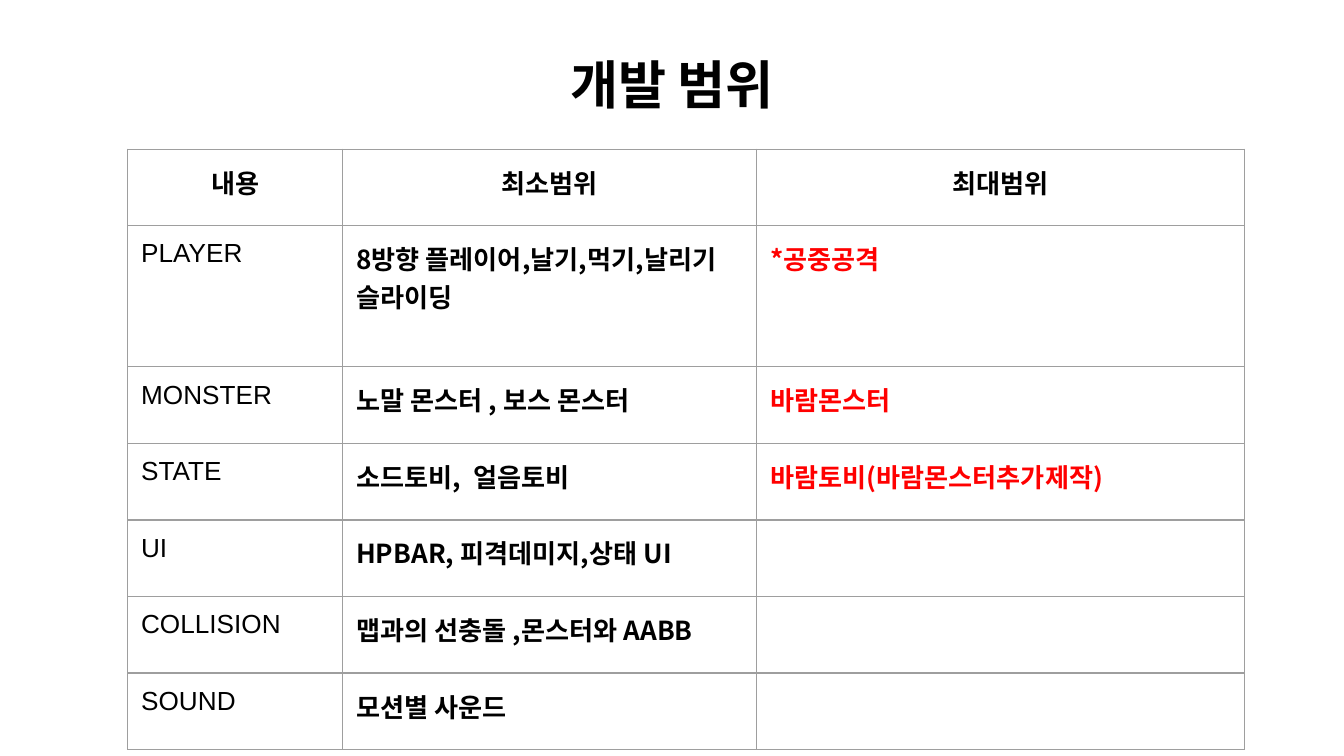
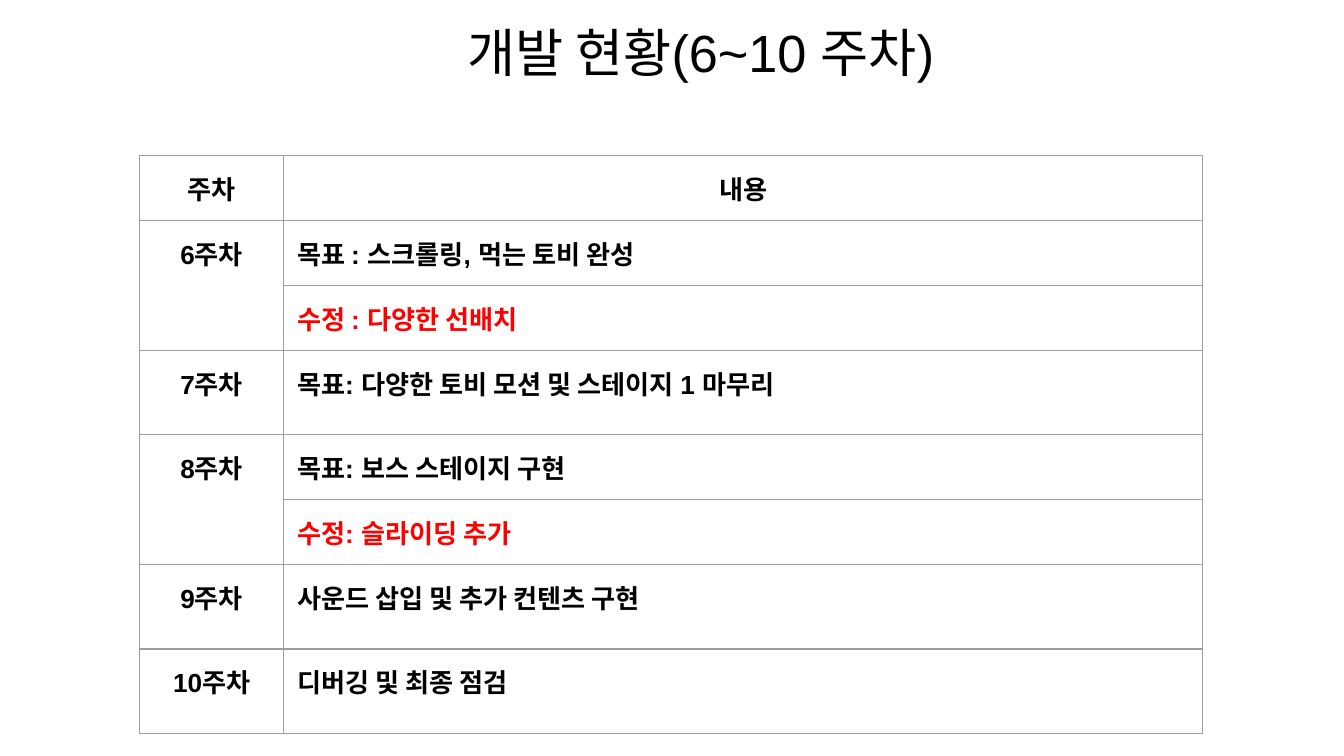
from lxml import etree
from pptx import Presentation
from pptx.dml.color import RGBColor
from pptx.enum.text import MSO_ANCHOR, PP_ALIGN
from pptx.oxml.ns import qn
from pptx.util import Inches, Pt

LEFT, CENTER = PP_ALIGN.LEFT, PP_ALIGN.CENTER
MIDDLE = MSO_ANCHOR.MIDDLE

COLORS = {"paper": "FFFFFF", "ink": "000000", "alert": "FF0000", "rule": "9E9E9E"}
ARIAL, NOTO = "Arial", "Noto Sans CJK KR"
WIDTH = Inches(10)
HEIGHT = WIDTH * 9 // 16
UNIT = WIDTH // 100  # grid step: one hundredth of the slide's width
PAD = UNIT
TITLE_LEFT, TITLE_WIDTH, TITLE_HEIGHT = 3.4, 93.2, 6.3


def grid(steps):
    return round(steps * UNIT)


def add_run(para, text, size, font, bold, color):
    run = para.add_run()
    run.text = text
    run.font.size, run.font.name, run.font.bold = Pt(size), font, bold
    run.font.color.rgb = RGBColor.from_string(COLORS[color])


def set_pad(box):
    box.margin_left = box.margin_right = box.margin_top = box.margin_bottom = PAD


def add_title(slide, text, top, font, bold=False, indent=0):
    box = slide.shapes.add_textbox(
        grid(TITLE_LEFT), grid(top), grid(TITLE_WIDTH), grid(TITLE_HEIGHT))
    frame = box.text_frame
    frame.word_wrap = True
    frame.vertical_anchor = MIDDLE
    set_pad(frame)
    frame.margin_left = PAD + grid(indent)
    para = frame.paragraphs[0]
    para.alignment = CENTER
    add_run(para, text, 28, font, bold, "ink")


def rule_cell(cell):
    """Draw a thin rule on all four sides of a cell."""
    props = cell._tc.get_or_add_tcPr()
    for side in ("lnL", "lnR", "lnT", "lnB"):
        line = etree.SubElement(props, qn(f"a:{side}"), w=str(Pt(0.75)))
        fill = etree.SubElement(line, qn("a:solidFill"))
        etree.SubElement(fill, qn("a:srgbClr"), val=COLORS["rule"])


def fill_cell(cell, text, align, font, bold, color):
    frame = cell.text_frame
    for i, line in enumerate(text.split("\n")):
        para = frame.add_paragraph() if i else frame.paragraphs[0]
        para.alignment = align
        if line:
            add_run(para, line, 14, font, bold, color)


def add_grid(slide, left, top, cols, rows, texts, style):
    """Add a ruled table; style(row, col, text) gives the look of each text."""
    table = slide.shapes.add_table(
        len(rows), len(cols), grid(left), grid(top),
        grid(sum(cols)), grid(sum(rows))).table
    table.first_row = table.horz_banding = False
    for col, width in zip(table.columns, cols):
        col.width = grid(width)
    for row, height in zip(table.rows, rows):
        row.height = grid(height)
    for r, line in enumerate(texts):
        for c, text in enumerate(line):
            cell = table.cell(r, c)
            set_pad(cell)
            rule_cell(cell)
            cell.fill.background()
            if text is None:
                table.cell(r - 1, c).merge(cell)
            else:
                fill_cell(cell, text, *style(r, c, text))


def scope_style(row, col, text):
    if row == 0:
        return CENTER, NOTO, True, "ink"
    if col == 0:
        return LEFT, ARIAL, False, "ink"
    return LEFT, NOTO, True, "alert" if col == 2 else "ink"


def week_style(row, col, text):
    align = CENTER if row == 0 or col == 0 else LEFT
    return align, ARIAL, True, "alert" if text.startswith("수정") else "ink"


def draw_scope(slide):
    add_title(slide, "개발 범위", 3.1, NOTO, bold=True)
    texts = [
        ("내용", "최소범위", "최대범위"),
        ("PLAYER", "8방향 플레이어,날기,먹기,날리기\n슬라이딩", "*공중공격"),
        ("MONSTER", "노말 몬스터 , 보스 몬스터", "바람몬스터"),
        ("STATE", "소드토비,  얼음토비", "바람토비(바람몬스터추가제작)"),
        ("UI", "HPBAR, 피격데미지,상태 UI", ""),
        ("COLLISION", "맵과의 선충돌 ,몬스터와 AABB", ""),
        ("SOUND", "모션별 사운드", ""),
    ]
    rows = [10.5 if line[0] == "PLAYER" else 5.7 for line in texts]
    add_grid(slide, 9.5, 11.1, (16, 30.8, 36.3), rows, texts, scope_style)


def draw_weeks(slide):
    add_title(slide, "개발 현황(6~10 주차)", 0.7, ARIAL, indent=4.3)
    texts = [
        ("주차", "내용"),
        ("6주차", "목표 : 스크롤링, 먹는 토비 완성"),
        (None, "수정 : 다양한 선배치"),
        ("7주차", "목표: 다양한 토비 모션 및 스테이지 1 마무리"),
        ("8주차", "목표: 보스 스테이지 구현"),
        (None, "수정: 슬라이딩 추가"),
        ("9주차", "사운드 삽입 및 추가 컨텐츠 구현"),
        ("10주차", "디버깅 및 최종 점검"),
    ]
    low, high = 4.82, 6.3
    rows = (low, low, low, high, low, low, high, high)
    add_grid(slide, 10.4, 11.6, (10.7, 68.4), rows, texts, week_style)


def main():
    deck = Presentation()
    deck.slide_width, deck.slide_height = WIDTH, HEIGHT
    for draw in (draw_scope, draw_weeks):
        slide = deck.slides.add_slide(deck.slide_layouts[6])
        fill = slide.background.fill
        fill.solid()
        fill.fore_color.rgb = RGBColor.from_string(COLORS["paper"])
        draw(slide)
    deck.save("out.pptx")


if __name__ == "__main__":
    main()
